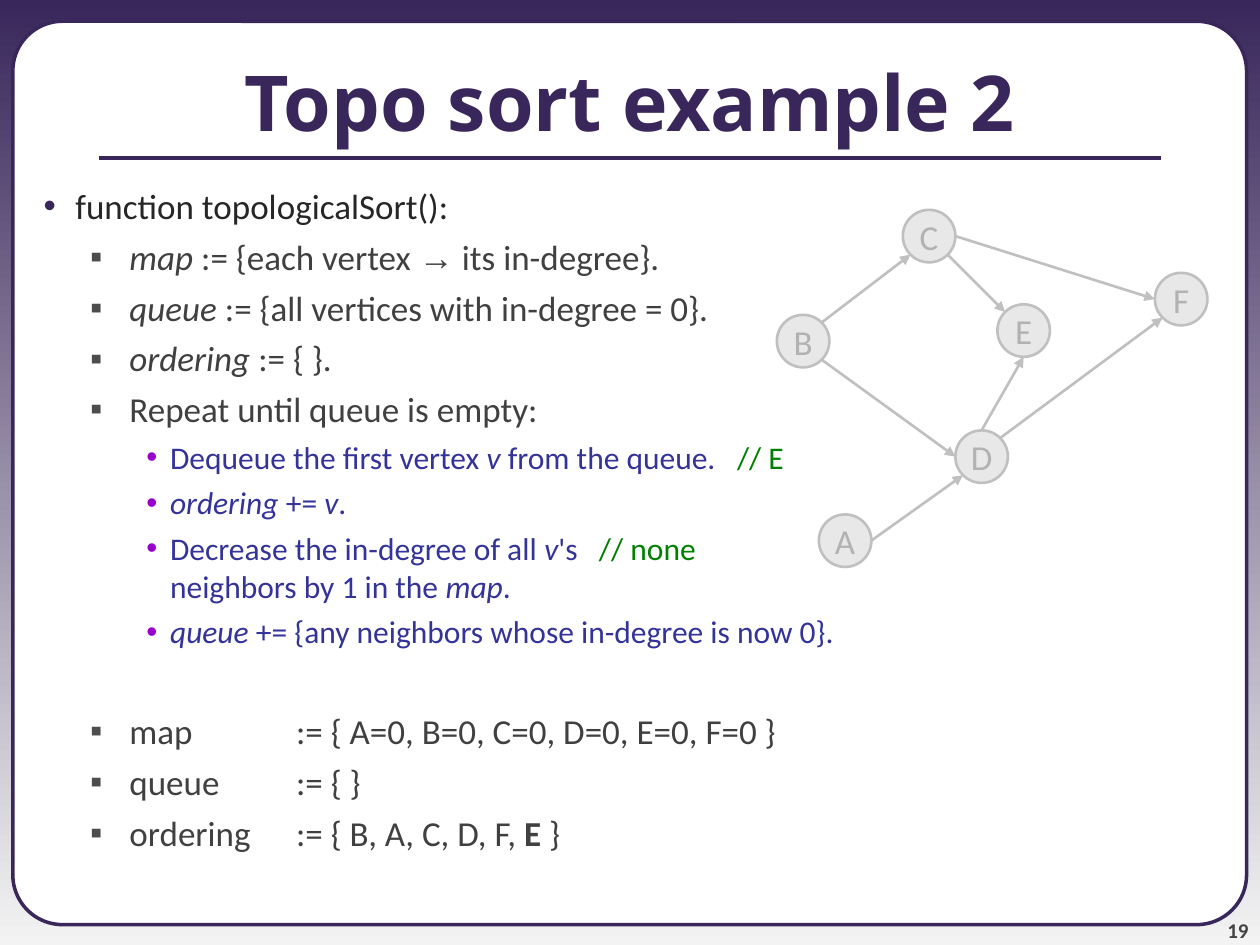
from math import cos, radians, sin

from lxml.etree import SubElement
from pptx import Presentation
from pptx.dml.color import RGBColor
from pptx.enum.shapes import MSO_CONNECTOR as Connector, MSO_SHAPE as Shape
from pptx.enum.text import MSO_ANCHOR as Anchor, MSO_AUTO_SIZE as AutoSize, PP_ALIGN as Align
from pptx.oxml.ns import qn
from pptx.util import Cm, Pt

PURPLE = RGBColor(0x39, 0x27, 0x5B)
PALE = RGBColor(0xF3, 0xF3, 0xF3)
WHITE = RGBColor(0xFF, 0xFF, 0xFF)
NUMBER_GREY = RGBColor(0x42, 0x42, 0x42)
NODE_FILL = RGBColor(0xE8, 0xE8, 0xE8)
NODE_LINE = RGBColor(0xC0, 0xC0, 0xC0)
NODE_TEXT = RGBColor(0xB2, 0xB2, 0xB2)
COMMENT = RGBColor(0x00, 0x80, 0x00)
BODY_FONT = "Calibri"
TITLE_FONT = "Noto Sans"

# per level: left margin and hanging indent (cm), space before, size, bullet, bullet colour, text colour
LEVELS = [
    (1.27, 0.64, 5, 20, "•", PURPLE, RGBColor(0x26, 0x26, 0x26)),
    (2.36, 0.79, 5, 20, "▪", RGBColor(0x4D, 0x4D, 0x4D), RGBColor(0x40, 0x40, 0x40)),
    (3.18, 0.48, 4.5, 18, "•", RGBColor(0x99, 0x00, 0xCC), RGBColor(0x33, 0x33, 0x99)),
]
TAB_STOP = 5.72
STATE_GAP = 34

# Spans marked "i" are italic, "b" bold, "c" comments, "f" symbols
ALGORITHM = [
    (0, [("function topologicalSort():", "")]),
    (1, [("map ", "i"), (":= {each vertex ", ""), ("→", "f"), (" its in-degree}.", "")]),
    (1, [("queue ", "i"), (":= {all vertices with in-degree = 0}.", "")]),
    (1, [("ordering ", "i"), (":= { }.", "")]),
    (1, [("Repeat until queue is empty:", "")]),
    (2, [("Dequeue the first vertex ", ""), ("v", "i"), (" from the queue.   ", ""), ("// E", "c")]),
    (2, [("ordering ", "i"), ("+= ", ""), ("v", "i"), (".", "")]),
    (2, [("Decrease the in-degree of all ", ""), ("v", "i"), ("'s   ", ""), ("// none", "c"),
         ("\n", ""), ("neighbors by 1 in the ", ""), ("map", "i"), (".", "")]),
    (2, [("queue ", "i"), ("+= {any neighbors whose in-degree is now 0}.", "")]),
]
STATE = [
    (1, [("map\t:= { A=0, B=0, C=0, D=0, E=0, F=0 }", "")]),
    (1, [("queue\t:= { }", "")]),
    (1, [("ordering\t:= { B, A, C, D, F, ", ""), ("E", "b"), (" }", "")]),
]

# Node positions count grid cells from the top left of the graph
GRID_COLUMNS = 41
NODE_CELLS = 5
NODES = {"C": (12, 0), "A": (4, 29), "F": (36, 6), "D": (17, 21), "B": (0, 10), "E": (21, 9)}
ANGLES = {"right": 0, "bottom right": 45, "bottom": 90, "bottom left": 135,
          "left": 180, "top left": 225, "top": 270, "top right": 315}
EDGES = [
    ("B", "top right", "C", "bottom left"),
    ("C", "right", "F", "left"),
    ("B", "bottom right", "D", "left"),
    ("D", "top right", "F", "bottom left"),
    ("A", "right", "D", "bottom left"),
    ("C", "bottom right", "E", "top left"),
    ("D", "top", "E", "bottom"),
]


def style_font(font, size, color, name=BODY_FONT, bold=False):
    font.name, font.size, font.bold = name, Pt(size), bold
    font.color.rgb = color


def draw_line(shapes, start, end, color, width):
    line = shapes.add_connector(Connector.STRAIGHT, *map(Cm, start + end))
    line.line.color.rgb = color
    line.line.width = Pt(width)
    SubElement(line._element.spPr, qn("a:effectLst"))
    return line


def paint(shape, fill, outline, width):
    shape.shadow.inherit = False
    shape.fill.solid()
    shape.fill.fore_color.rgb = fill
    shape.line.color.rgb = outline
    shape.line.width = Pt(width)


def add_background(page):
    fill = page.background.fill
    fill.gradient()
    fill.gradient_angle = 270
    for stop, color in zip(fill.gradient_stops, (PURPLE, PALE)):
        stop.color.rgb = color


def add_panel(page, left, top, width, height):
    panel = page.shapes.add_shape(Shape.ROUNDED_RECTANGLE, Cm(left), Cm(top), Cm(width), Cm(height))
    panel.adjustments[0] = 0.055
    paint(panel, WHITE, PURPLE, 2)


def add_title(page, text, left, top, width, height):
    """Place the title above the panel, with a rule under it."""
    title = page.shapes.title
    page.shapes._spTree.append(title._element)
    title.left, title.top, title.width, title.height = map(Cm, (left, top, width, height))
    frame = title.text_frame
    frame.text = text
    frame.auto_size = AutoSize.NONE
    frame.vertical_anchor = Anchor.MIDDLE
    para = frame.paragraphs[0]
    para.alignment = Align.CENTER
    style_font(para.runs[0].font, 44, PURPLE, TITLE_FONT, True)
    rule_y = top + height - 0.43
    draw_line(page.shapes, (left + 2, rule_y), (left + width - 2, rule_y), PURPLE, 2.25)


def add_page_number(page, text, left, top, width, height):
    box = page.shapes.add_textbox(Cm(left), Cm(top), Cm(width), Cm(height))
    frame = box.text_frame
    frame.text = text
    frame.word_wrap = True
    frame.vertical_anchor = Anchor.BOTTOM
    frame.margin_left = frame.margin_right = frame.margin_top = frame.margin_bottom = 0
    frame.paragraphs[0].alignment = Align.RIGHT
    style_font(frame.paragraphs[0].runs[0].font, 12, NUMBER_GREY, bold=True)


def format_level(para, level, space):
    margin, hanging, _, _, bullet, bullet_color, _ = LEVELS[level]
    para.level = level
    para.space_before = Pt(space)
    props = para._p.get_or_add_pPr()
    props.set("marL", str(Cm(margin)))
    props.set("indent", str(-Cm(hanging)))
    SubElement(SubElement(props, qn("a:buClr")), qn("a:srgbClr"), val=str(bullet_color))
    SubElement(props, qn("a:buFont"), typeface="Arial")
    SubElement(props, qn("a:buChar"), char=bullet)
    SubElement(SubElement(props, qn("a:tabLst")), qn("a:tab"), pos=str(Cm(TAB_STOP)), algn="l")


def add_spans(para, spans, size, color):
    for text, mark in spans:
        if text == "\n":
            para.add_line_break()
            continue
        span = para.add_run()
        span.text = text
        style_font(span.font, size, COMMENT if mark == "c" else color,
                   "Arial" if mark == "f" else BODY_FONT, mark == "b")
        span.font.italic = mark == "i"


def add_pseudocode(page, left, top, width, height):
    box = page.shapes.add_textbox(Cm(left), Cm(top), Cm(width), Cm(height))
    frame = box.text_frame
    frame.word_wrap = True
    for index, (level, spans) in enumerate(ALGORITHM + STATE):
        para = frame.add_paragraph() if index else frame.paragraphs[0]
        _, _, space, size, _, _, color = LEVELS[level]
        if index == 0:
            space = 0
        elif index == len(ALGORITHM):
            space = STATE_GAP
        format_level(para, level, space)
        add_spans(para, spans, size, color)


def add_graph(page, left, top, width):
    shapes = page.shapes.add_group_shape().shapes
    cell = width / GRID_COLUMNS
    radius = NODE_CELLS * cell / 2

    def rim_point(name, side):
        column, row = NODES[name]
        angle = radians(ANGLES[side])
        return (left + column * cell + radius * (1 + cos(angle)),
                top + row * cell + radius * (1 + sin(angle)))

    for name, (column, row) in NODES.items():
        node = shapes.add_shape(Shape.OVAL, Cm(left + column * cell), Cm(top + row * cell),
                                Cm(2 * radius), Cm(2 * radius))
        paint(node, NODE_FILL, NODE_LINE, 1.5)
        frame = node.text_frame
        frame.text = name
        frame.word_wrap = False
        frame.vertical_anchor = Anchor.MIDDLE
        frame.paragraphs[0].alignment = Align.CENTER
        style_font(frame.paragraphs[0].runs[0].font, 20, NODE_TEXT)
    for source, source_side, target, target_side in EDGES:
        edge = draw_line(shapes, rim_point(source, source_side),
                         rim_point(target, target_side), NODE_LINE, 1.5)
        SubElement(edge._element.spPr.get_or_add_ln(), qn("a:tailEnd"), type="triangle")


def main():
    deck = Presentation()
    deck.slide_width, deck.slide_height = Cm(25.4), Cm(19.05)
    page = deck.slides.add_slide(deck.slide_layouts[5])
    add_background(page)
    add_panel(page, 0.26, 0.43, 24.87, 18.21)
    add_page_number(page, "19", 23.06, 17.98, 2.11, 1.02)
    add_title(page, "Topo sort example 2", 0, 0.43, 25.4, 3.18)
    add_pseudocode(page, 0, 3.6, 25.4, 15.45)
    add_graph(page, 15.66, 4.23, 8.68)
    deck.save("out.pptx")


if __name__ == "__main__":
    main()
